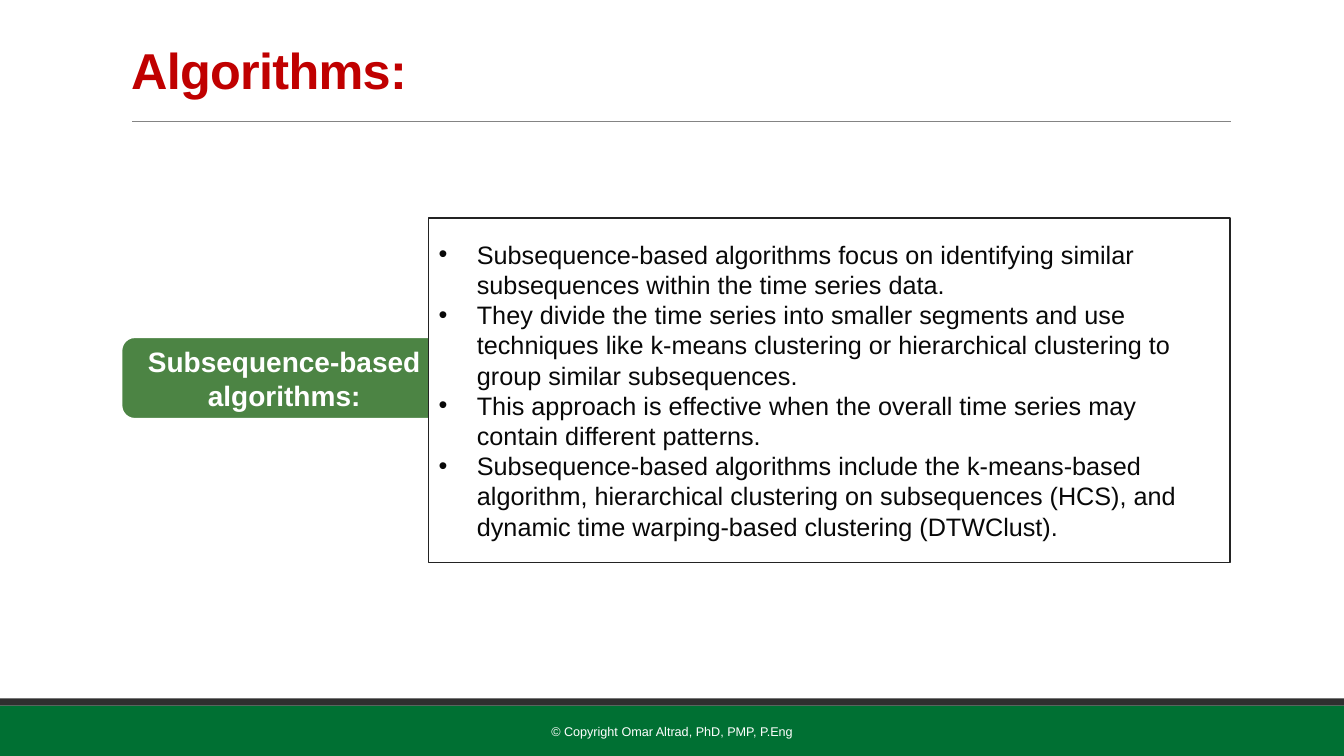
"""Build the slide on subsequence-based clustering algorithms."""
from pptx import Presentation
from pptx.dml.color import RGBColor
from pptx.enum.shapes import MSO_CONNECTOR, MSO_SHAPE
from pptx.enum.text import MSO_ANCHOR, MSO_AUTO_SIZE, PP_ALIGN
from pptx.oxml.ns import qn
from pptx.util import Inches, Pt
from lxml import etree

RECTANGLE = MSO_SHAPE.RECTANGLE
ROUNDED = MSO_SHAPE.ROUNDED_RECTANGLE
STRAIGHT = MSO_CONNECTOR.STRAIGHT
MIDDLE = MSO_ANCHOR.MIDDLE
NO_AUTOFIT = MSO_AUTO_SIZE.NONE
LEFT, CENTER = PP_ALIGN.LEFT, PP_ALIGN.CENTER

WHITE = RGBColor(0xFF, 0xFF, 0xFF)
RED = RGBColor(0xC0, 0x00, 0x00)
FOOTER_GREEN = RGBColor(0x00, 0x70, 0x33)
LABEL_GREEN = RGBColor(0x4C, 0x84, 0x44)
DARK_GRAY = RGBColor(0x2F, 0x2F, 0x2F)
RULE_GRAY = RGBColor(0x84, 0x84, 0x84)
BORDER = RGBColor(0x23, 0x23, 0x23)
BODY_TEXT = RGBColor(0x08, 0x08, 0x08)

BULLETS = [
    "Subsequence-based algorithms focus on identifying similar subsequences "
    "within the time series data.",
    "They divide the time series into smaller segments and use techniques like "
    "k-means clustering or hierarchical clustering to group similar subsequences.",
    "This approach is effective when the overall time series may contain "
    "different patterns.",
    "Subsequence-based algorithms include the k-means-based algorithm, "
    "hierarchical clustering on subsequences (HCS), and dynamic time "
    "warping-based clustering (DTWClust).",
]


def write(shape, *texts, size, color, bold=False, align=LEFT, spacing=1.0):
    frame = shape.text_frame
    frame.word_wrap = True
    frame.auto_size = NO_AUTOFIT
    frame.vertical_anchor = MIDDLE
    for index, text in enumerate(texts):
        paragraph = frame.add_paragraph() if index else frame.paragraphs[0]
        paragraph.alignment = align
        paragraph.line_spacing = spacing
        paragraph.space_before = Pt(0)
        run = paragraph.add_run()
        run.text = text
        run.font.name = "Arial"
        run.font.size = Pt(size)
        run.font.bold = bold
        run.font.color.rgb = color
    return frame.paragraphs


def place(shape, left, top, width, height):
    shape.left, shape.top = Inches(left), Inches(top)
    shape.width, shape.height = Inches(width), Inches(height)


presentation = Presentation()
presentation.slide_width = Inches(13.33)
presentation.slide_height = Inches(7.5)
slide = presentation.slides.add_slide(presentation.slide_layouts[1])
shapes = slide.shapes
title, body = slide.placeholders

for top, height, color in [(7, 0.5, FOOTER_GREEN), (6.93, 0.07, DARK_GRAY)]:
    band = shapes.add_shape(RECTANGLE, 0, Inches(top), Inches(13.33), Inches(height))
    band.shadow.inherit = False
    band.fill.solid()
    band.fill.fore_color.rgb = color
    band.line.fill.background()

title_rule = shapes.add_connector(
    STRAIGHT, Inches(1.31), Inches(1.2), Inches(12.21), Inches(1.2))
title_rule.line.color.rgb = RULE_GRAY
title_rule.line.width = Pt(0.5)
etree.SubElement(title_rule._element.spPr, qn("a:effectLst"))

place(title, 1.2, 0.31, 11, 0.86)
heading = write(title, "Algorithms:", size=36, color=RED, bold=True, spacing=0.85)[0]
heading.runs[0].font._element.set("spc", "-50")

copyright_box = shapes.add_textbox(Inches(4.03), Inches(7.06), Inches(5.27), Inches(0.4))
write(copyright_box, "© Copyright Omar Altrad, PhD, PMP, P.Eng",
      size=9, color=WHITE, align=CENTER)

label = shapes.add_shape(ROUNDED, Inches(1.2), Inches(3.34), Inches(3.24), Inches(0.82))
label.shadow.inherit = False
label.fill.solid()
label.fill.fore_color.rgb = LABEL_GREEN
label.line.color.rgb = WHITE
label.line.width = Pt(2)
write(label, "Subsequence-based algorithms:", size=20, color=WHITE, bold=True, align=CENTER)

place(body, 4.25, 2.16, 7.95, 3.42)
body.fill.solid()
body.fill.fore_color.rgb = WHITE
body.line.color.rgb = BORDER
body.line.width = Pt(1.25)
for paragraph in write(body, *BULLETS, size=18, color=BODY_TEXT):
    properties = paragraph._p.get_or_add_pPr()
    properties.set("marL", str(Inches(0.38)))
    properties.set("indent", str(Inches(-0.38)))
    etree.SubElement(properties, qn("a:buChar"), char="•")
shapes._spTree.append(body._element)

presentation.save("out.pptx")
